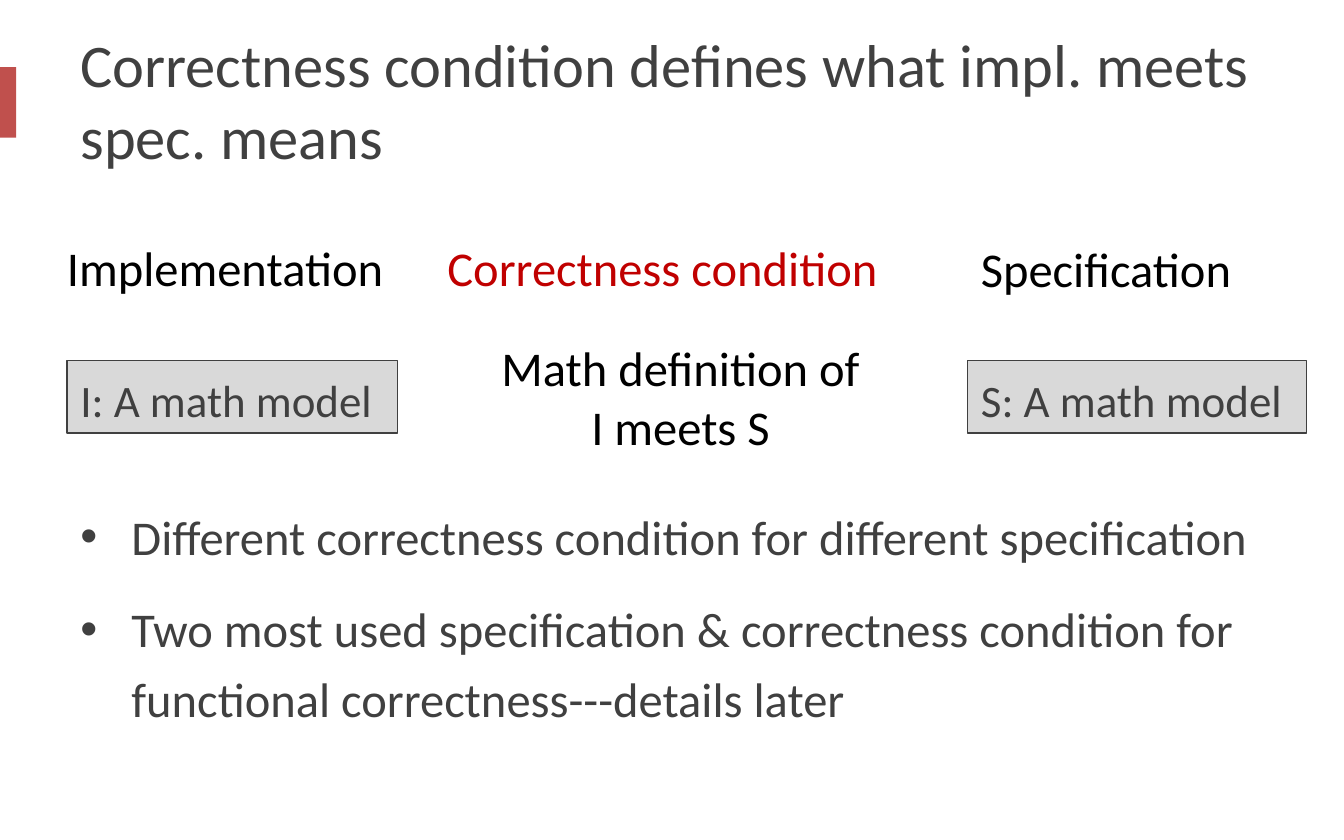
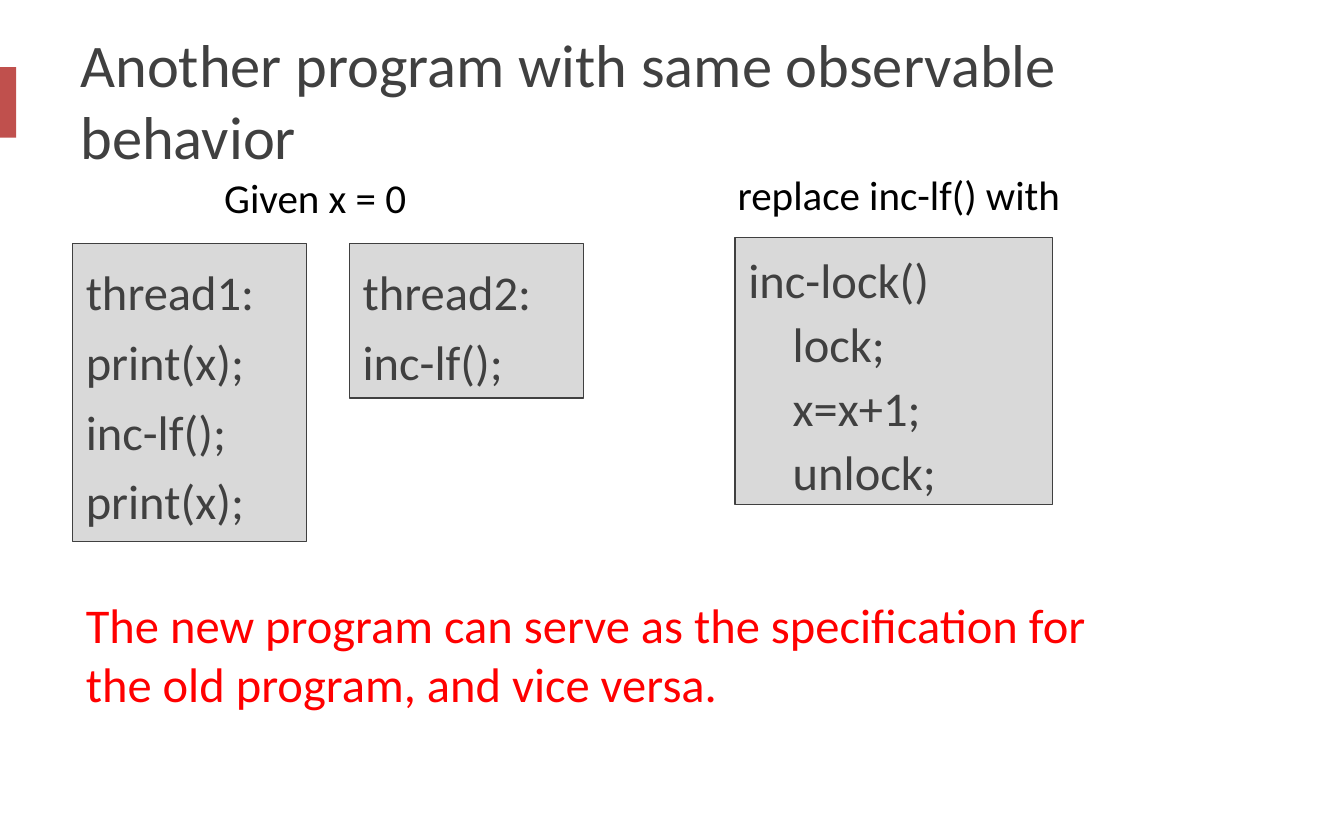
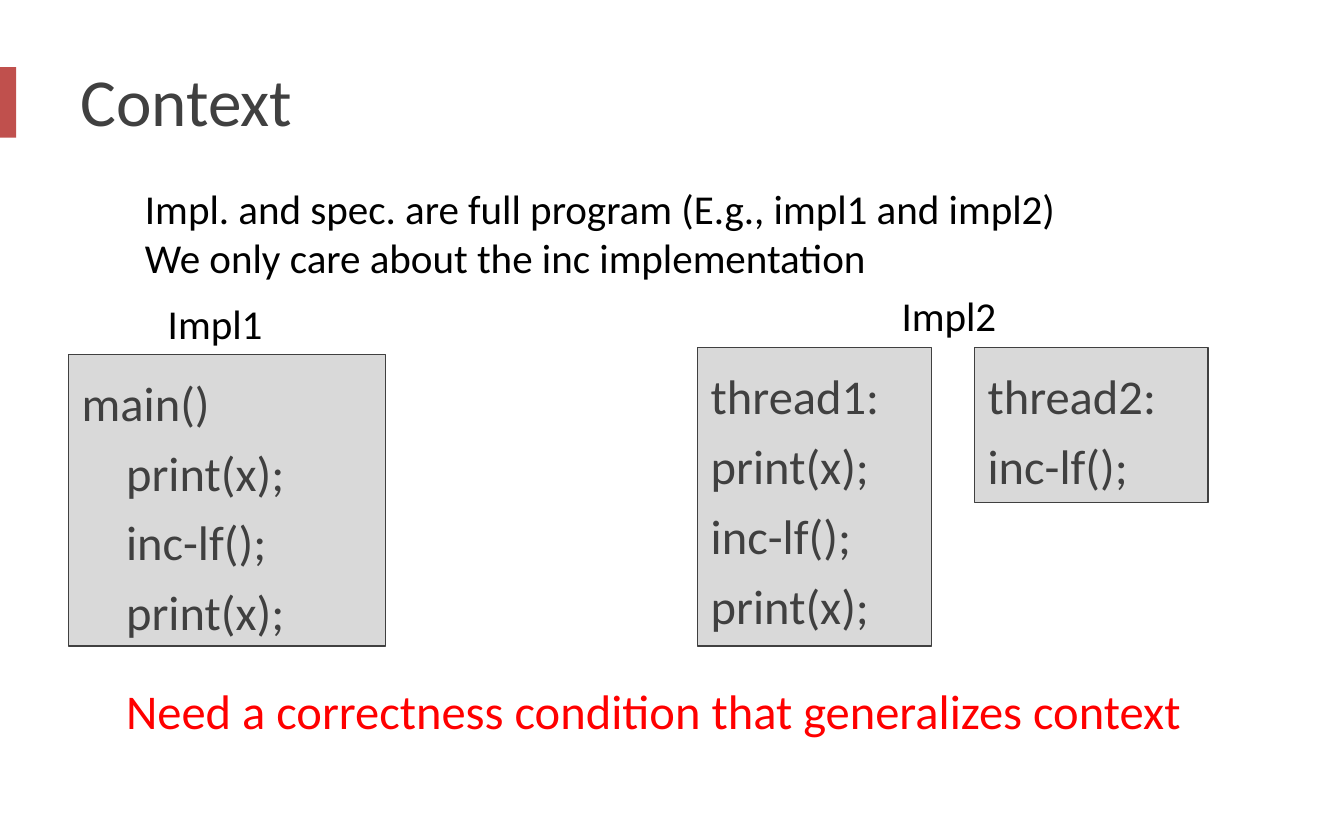
from lxml import etree
from pptx import Presentation, util as u
from pptx.dml import color
from pptx.enum import shapes, text
from pptx.oxml import ns

COLORS = {
    "accent": "C0504D", "panel": "D9D9D9", "body": "404040",
    "label": "000000", "condition": "C00000", "message": "FF0000",
}
FONT = "Calibri"

deck = Presentation()
deck.slide_width, deck.slide_height = u.Inches(10), u.Inches(6.25)
COLUMN = deck.slide_width / 100
ROW = deck.slide_height / 100
CODE_INDENT = 3.3   # columns
BULLET_INDENT = 3.8
LINE_1, LINE_2 = 8.64, 15.68   # rows taken by one or two 26 pt lines
SMALL_LINE = 7.52              # rows taken by one 22 pt line

# Formats: font size, colour name, then paragraph settings
STYLES = {
    "title": (32.4, "body", {}),
    "short title": (36, "body", {}),
    "heading": (26, "label", {}),
    "condition": (26, "condition", {}),
    "definition": (26, "label", {"alignment": text.PP_ALIGN.CENTER}),
    "message": (26, "message", {}),
    "label": (22, "label", {}),
    "bullets": (26, "body", {"line_spacing": 1.2, "space_before": u.Pt(12)}),
    "model": (24.1, "body", {"line_spacing": 1.1}),
    "tight code": (26, "body", {"line_spacing": 1.1}),
    "code": (26, "body", {"line_spacing": 1.2}),
}
PANELS = ("model", "tight code", "code")


def add_rectangle(page, area, fill, line=None):
    box = page.shapes.add_shape(shapes.MSO_SHAPE.RECTANGLE, *area)
    box.shadow.inherit = False
    box.fill.solid()
    box.fill.fore_color.rgb = color.RGBColor.from_string(COLORS[fill])
    if line:
        box.line.color.rgb = color.RGBColor.from_string(COLORS[line])
        box.line.width = u.Pt(0.75)
    else:
        box.line.fill.background()
    return box


def add_text(page, style, cell, lines):
    """Write lines in a cell (left, top, columns, rows); a leading tab indents code."""
    left, top, columns, rows = cell
    area = [round(n) for n in (left * COLUMN, top * ROW, columns * COLUMN, rows * ROW)]
    if style in PANELS:
        box = add_rectangle(page, area, "panel", "body")
    else:
        box = page.shapes.add_textbox(*area)
    size, ink, settings = STYLES[style]
    frame = box.text_frame
    frame.word_wrap = True
    frame.vertical_anchor = (text.MSO_ANCHOR.MIDDLE if "title" in style
                             else text.MSO_ANCHOR.TOP)
    for number, line in enumerate(lines):
        para = frame.add_paragraph() if number else frame.paragraphs[0]
        for name, value in {"alignment": text.PP_ALIGN.LEFT, **settings}.items():
            setattr(para, name, value)
        span = para.add_run()
        span.text = line.lstrip("\t")
        for name, value in {"name": FONT, "size": u.Pt(size)}.items():
            setattr(span.font, name, value)
        span.font.color.rgb = color.RGBColor.from_string(COLORS[ink])
        properties = para._p.get_or_add_pPr()
        if line.startswith("\t"):
            properties.set("marL", str(round(CODE_INDENT * COLUMN)))
        if style == "bullets":
            indent = round(BULLET_INDENT * COLUMN)
            properties.set("marL", str(indent))
            properties.set("indent", str(-indent))
            etree.SubElement(properties, ns.qn("a:buFont")).set("typeface", "Arial")
            etree.SubElement(properties, ns.qn("a:buChar")).set("char", "•")


# Slide contents: title style, title, corner of the thread pair, other texts
pages = [
    ("title", "Correctness condition defines what impl. meets spec. means", None, [
        ("heading", (4, 27.5, 28.3, LINE_1), ["Implementation"]),
        ("condition", (32.3, 27.5, 36.8, LINE_1), ["Correctness condition"]),
        ("heading", (72, 27.7, 22, LINE_1), ["Specification"]),
        ("model", (5, 42.9, 24.6, LINE_1), ["I: A math model"]),
        ("definition", (35.5, 39.5, 30.3, LINE_2), ["Math definition of I meets S"]),
        ("model", (72, 42.9, 25.2, LINE_1), ["S: A math model"]),
        ("bullets", (5, 58.2, 95, 37.8), [
            "Different correctness condition for different specification",
            "Two most used specification & correctness condition for "
            "functional correctness---details later"]),
    ]),
    ("title", "Another program with same observable behavior", (5.4, 29), [
        ("label", (15.7, 19.7, 22, SMALL_LINE), ["Given x = 0"]),
        ("label", (53.9, 19.4, 33, SMALL_LINE), ["replace inc-lf() with"]),
        ("tight code", (54.7, 28.3, 23.6, 31.8),
         ["inc-lock()", "\tlock;", "\tx=x+1;", "\tunlock;"]),
        ("message", (5.4, 70.1, 81.5, LINE_2), [
            "The new program can serve as the specification for "
            "the old program, and vice versa."]),
    ]),
    ("short title", "Context", (51.9, 41.4), [
        ("label", (9.8, 21, 77.2, 13.4), [
            "Impl. and spec. are full program (E.g., impl1 and impl2)",
            "We only care about the inc implementation"]),
        ("label", (11.5, 34.7, 15, SMALL_LINE), ["Impl1"]),
        ("label", (66.1, 33.8, 15, SMALL_LINE), ["Impl2"]),
        ("code", (5.1, 42.2, 23.6, 34.7),
         ["main()", "\tprint(x);", "\tinc-lf();", "\tprint(x);"]),
        ("message", (8.4, 80.3, 86.6, LINE_1),
         ["Need a correctness condition that generalizes context"]),
    ]),
]
# The two threads stand side by side at a fixed pitch
THREAD_WIDTH, THREAD_PITCH = 17.4, 20.6
threads = [
    (35.5, ["thread1:", "print(x);", "inc-lf();", "print(x);"]),
    (18.4, ["thread2:", "inc-lf();"]),
]

for title_style, title, corner, items in pages:
    page = deck.slides.add_slide(deck.slide_layouts[6])
    # Accent band and title
    band = (0, 8 * ROW, 1.2 * COLUMN, 8.4 * ROW)
    add_rectangle(page, [round(n) for n in band], "accent")
    add_text(page, title_style, (5, 4, 90, LINE_2), [title])
    # Thread panels
    if corner:
        for number, (rows, lines) in enumerate(threads):
            left = corner[0] + number * THREAD_PITCH
            add_text(page, "code", (left, corner[1], THREAD_WIDTH, rows), lines)
    # Remaining texts
    for style, cell, lines in items:
        add_text(page, style, cell, lines)

deck.save("out.pptx")
